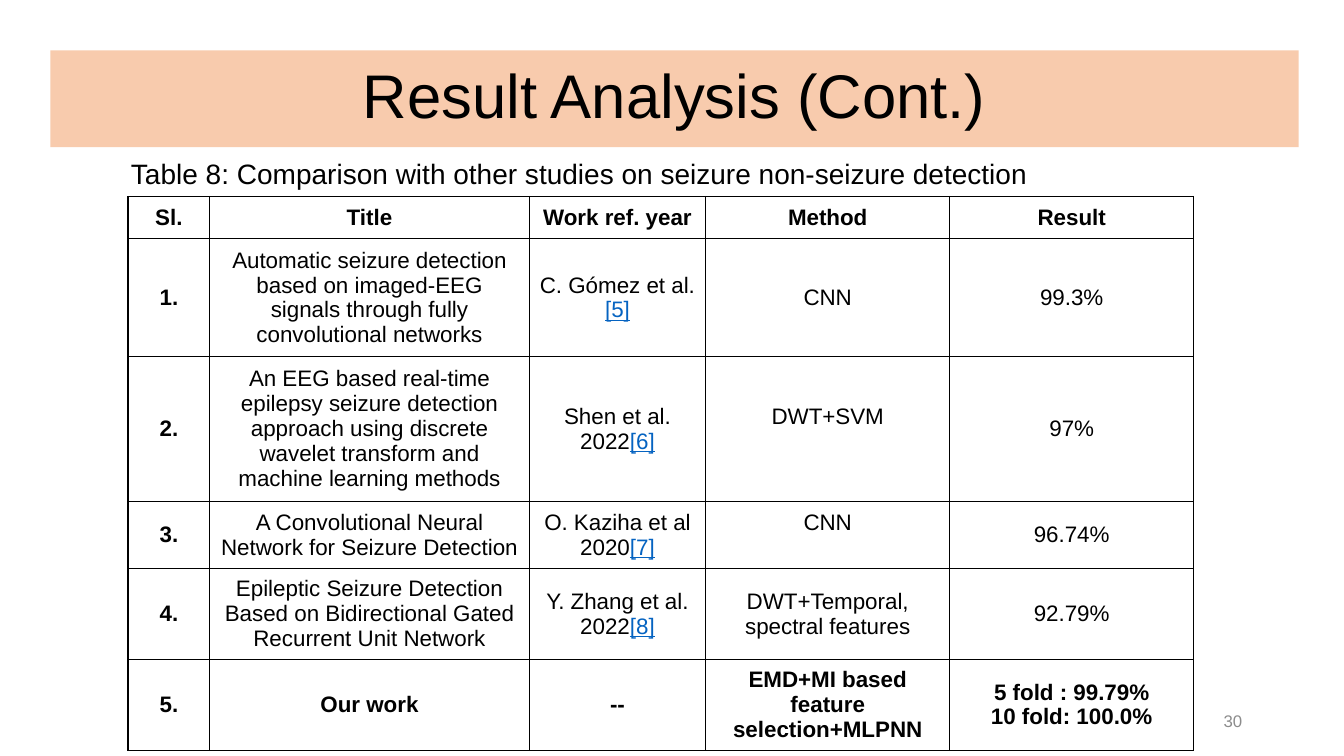
from pptx import Presentation
from pptx.dml.color import RGBColor
from pptx.enum.shapes import MSO_SHAPE
from pptx.enum.text import MSO_ANCHOR, PP_ALIGN
from pptx.oxml import parse_xml
from pptx.oxml.ns import nsdecls
from pptx.util import Inches, Pt

RECTANGLE = MSO_SHAPE.RECTANGLE
MIDDLE, TOP = MSO_ANCHOR.MIDDLE, MSO_ANCHOR.TOP
LEFT, CENTER, RIGHT = PP_ALIGN.LEFT, PP_ALIGN.CENTER, PP_ALIGN.RIGHT

SLIDE_COLUMNS, SLIDE_ROWS = 1333, 750
BLACK, LINK, GREY, PEACH = "000000", "0563C1", "8C8C8C", "F8CBAD"

COLUMN_WIDTHS = [81, 317, 175, 242, 242]
ROW_HEIGHTS = [42, 117, 143, 67, 90, 90]
HEADINGS = ["Sl.", "Title", "Work ref. year", "Method", "Result"]
STUDIES = [
    ["1.", "Automatic seizure detection based on imaged‑EEG signals through fully convolutional networks",
     ("C. Gómez et al.", "[5]"), "CNN", "99.3%"],
    ["2.", "An EEG based real-time epilepsy seizure detection approach using discrete wavelet transform "
     "and machine learning methods",
     ("Shen et al. 2022", "[6]"), "DWT+SVM", "97%"],
    ["3.", "A Convolutional Neural Network for Seizure Detection",
     ("O. Kaziha et al 2020", "[7]"), "CNN", "96.74%"],
    ["4.", "Epileptic Seizure Detection Based on Bidirectional Gated Recurrent Unit Network",
     ("Y. Zhang et al. 2022", "[8]"), "DWT+Temporal, spectral features", "92.79%"],
    ["5.", "Our work", "--", "EMD+MI based feature selection+MLPNN", "5 fold : 99.79%\n10 fold: 100.0%"],
]
OWN_ROW = len(STUDIES)
RAISED_METHODS = {(2, 3), (3, 3)}


def grid(units):
    return Inches(units / 100)


def place(box):
    return [grid(units) for units in box]


def color(value):
    return RGBColor.from_string(value)


def write(frame, text, size=16, ink=BLACK, bold=False, align=CENTER, anchor=MIDDLE, spacing=1.0, reference=""):
    frame.word_wrap = True
    frame.vertical_anchor = anchor
    for index, line in enumerate(text.split("\n")):
        paragraph = frame.add_paragraph() if index else frame.paragraphs[0]
        paragraph.alignment = align
        paragraph.line_spacing = spacing
        for words, words_ink in ((line, ink), (reference, LINK)):
            if words:
                run = paragraph.add_run()
                run.text = words
                run.font.name = "Arial"
                run.font.size = Pt(size)
                run.font.bold = bold
                run.font.underline = words_ink == LINK
                run.font.color.rgb = color(words_ink)


def add_banner(slide, box, title):
    banner = slide.shapes.add_shape(RECTANGLE, *place(box))
    banner.shadow.inherit = False
    banner.fill.solid()
    banner.fill.fore_color.rgb = color(PEACH)
    banner.line.fill.background()
    write(banner.text_frame, title, size=44, spacing=0.9)


def add_label(slide, box, text, **text_format):
    label = slide.shapes.add_textbox(*place(box))
    write(label.text_frame, text, **text_format)


def outline(cell):
    properties = cell._tc.get_or_add_tcPr()
    for position, edge in enumerate(("lnL", "lnR", "lnT", "lnB")):
        border = parse_xml(
            f'<a:{edge} {nsdecls("a")} w="{Pt(1)}"><a:solidFill>'
            f'<a:srgbClr val="{BLACK}"/></a:solidFill></a:{edge}>')
        properties.insert(position, border)


def add_comparison(slide, box):
    entries = [HEADINGS] + STUDIES
    comparison = slide.shapes.add_table(len(entries), len(HEADINGS), *place(box)).table
    comparison.first_row = comparison.horz_banding = False
    for column, width in zip(comparison.columns, COLUMN_WIDTHS):
        column.width = grid(width)
    for row, height in zip(comparison.rows, ROW_HEIGHTS):
        row.height = grid(height)
    for r, entry in enumerate(entries):
        for c, content in enumerate(entry):
            cell = comparison.cell(r, c)
            cell.fill.background()
            cell.vertical_anchor = MIDDLE
            if (r, c) in RAISED_METHODS:
                cell.margin_bottom = grid(30)
            text, reference = content if isinstance(content, tuple) else (content, "")
            write(cell.text_frame, text, bold=r in (0, OWN_ROW) or c == 0, reference=reference, anchor=None)
            outline(cell)


def build_slide(presentation):
    slide = presentation.slides.add_slide(presentation.slide_layouts[6])
    add_banner(slide, (50, 50, 1238, 96), "Result Analysis (Cont.)")
    add_label(slide, (120, 150, 1239, 44),
              "Table 8: Comparison with other studies on seizure non-seizure detection",
              size=20, align=LEFT, anchor=TOP)
    add_label(slide, (942, 695, 300, 40), "30", size=12, ink=GREY, align=RIGHT)
    add_comparison(slide, (127, 195, sum(COLUMN_WIDTHS), sum(ROW_HEIGHTS)))


def main():
    presentation = Presentation()
    presentation.slide_width = grid(SLIDE_COLUMNS)
    presentation.slide_height = grid(SLIDE_ROWS)
    build_slide(presentation)
    presentation.save("out.pptx")


if __name__ == "__main__":
    main()
